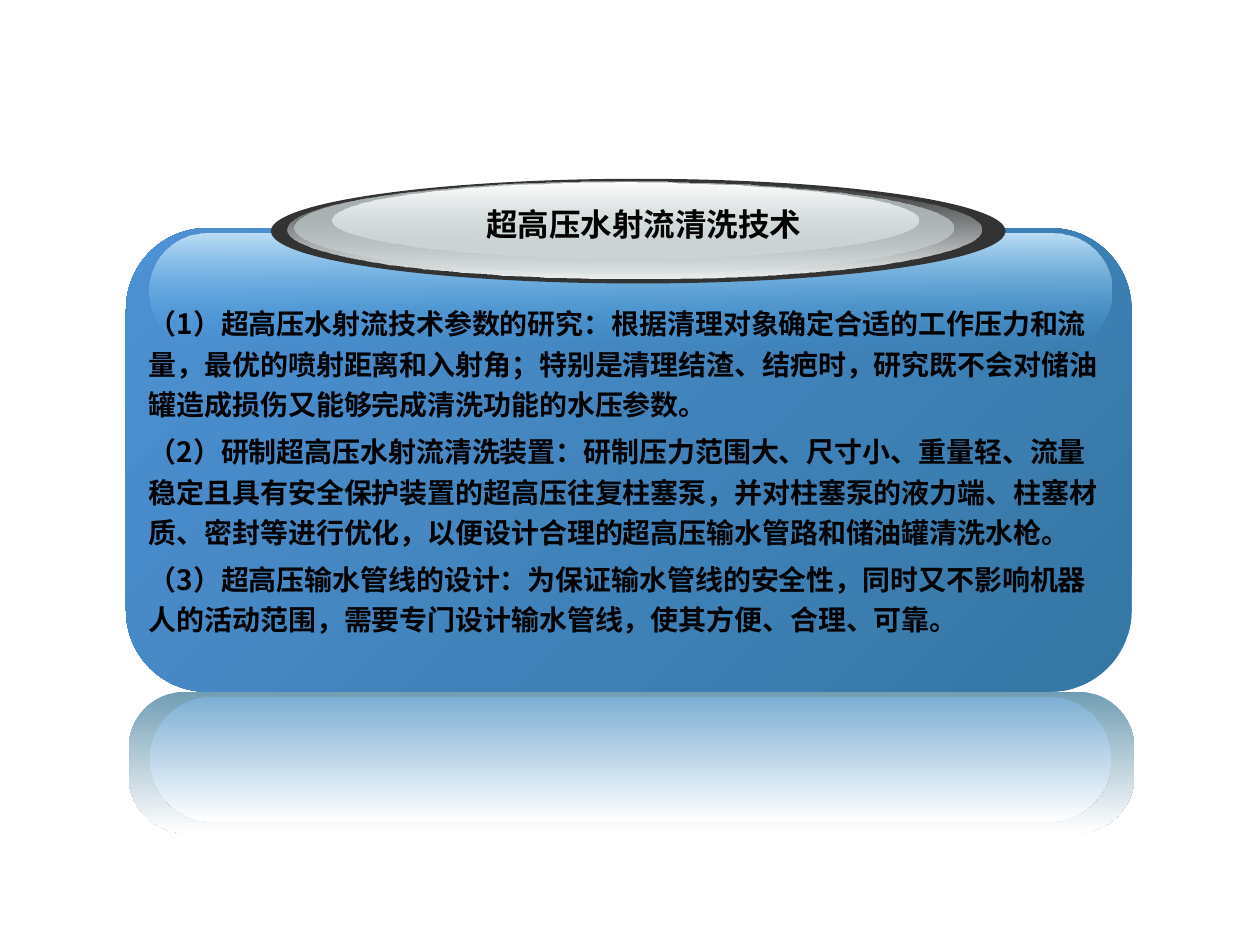
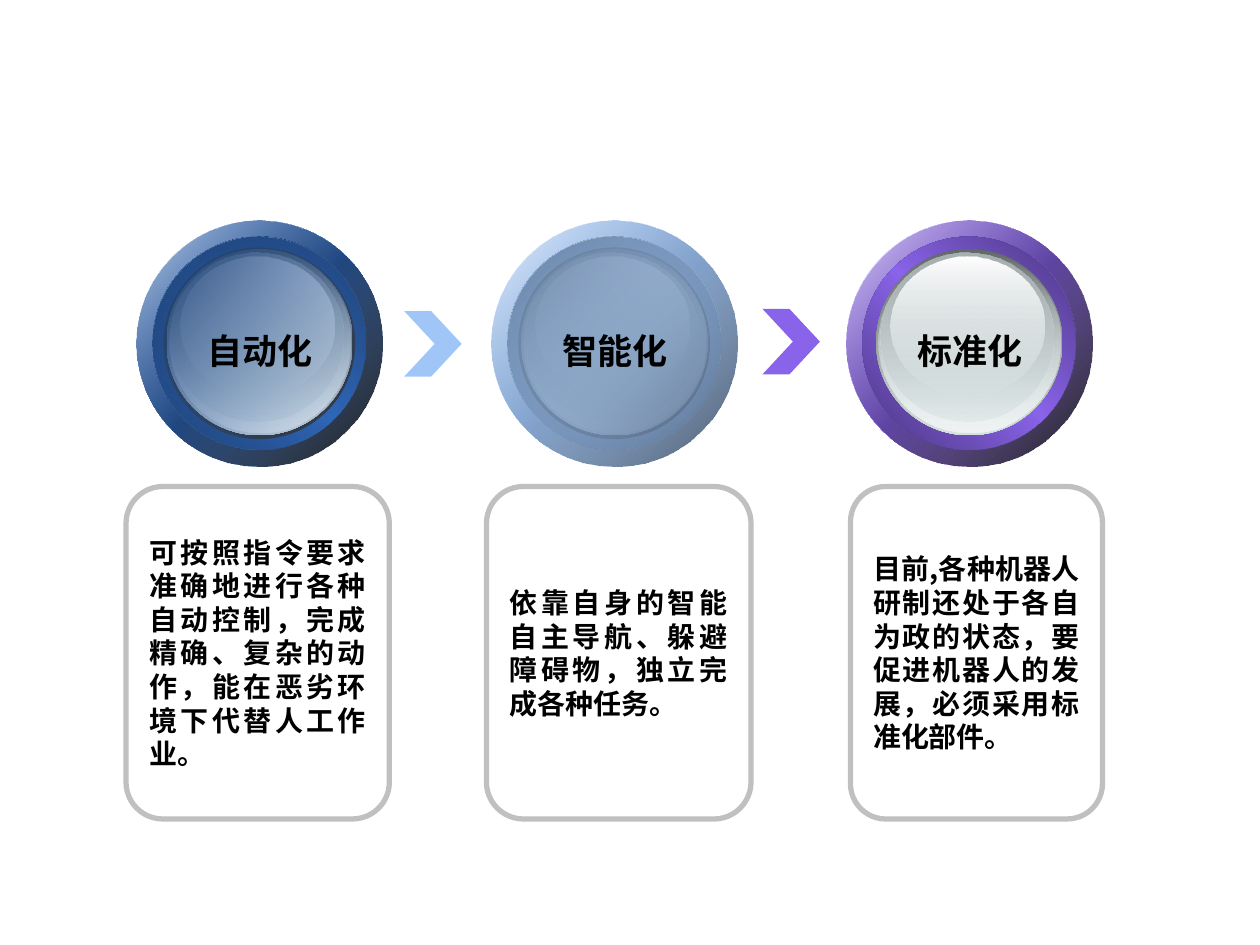
from dataclasses import dataclass
from typing import NamedTuple

from lxml.etree import SubElement
from pptx import Presentation
from pptx.dml.color import RGBColor
from pptx.enum.shapes import MSO_SHAPE
from pptx.enum.text import MSO_ANCHOR, MSO_AUTO_SIZE, PP_ALIGN
from pptx.oxml.ns import qn
from pptx.util import Pt


@dataclass(frozen=True)
class Theme:
    black: str = "000000"
    white: str = "FFFFFF"
    shine: str = "FEFEFE"
    dark: str = "333333"
    border: str = "C0C0C0"
    silver: str = "D6E1E2"
    pale_silver: str = "EFF3F3"
    mid_silver: str = "A8B1B2"
    deep_silver: str = "626768"
    panel_dark: str = "3477A4"
    panel_light: str = "4E91D4"
    panel_shine: str = "BDDEF5"
    panel_glow: str = "3CA1E6"
    reflection_outer: str = "729EB4"
    reflection_inner: str = "7DAFD4"
    navy: str = "3067B8"
    navy_rim: str = "193763"
    navy_overlay: str = "1E4174"
    sky: str = "A0C6F8"
    sky_rim: str = "566A85"
    sky_shade: str = "495B72"
    sky_overlay: str = "657D9C"
    violet: str = "8963E9"
    violet_rim: str = "49357D"
    violet_overlay: str = "563E93"
    heading_font: str = "Arial"
    chinese_font: str = "Noto Sans CJK SC"
    body_size: int = 16
    heading_size: int = 18
    badge_size: int = 20
    border_width: int = 3


THEME = Theme()


class Frame(NamedTuple):
    left: float
    top: float
    width: float
    height: float

    def shifted(self, left: float, top: float) -> "Frame":
        return Frame(self.left + left, self.top + top, self.width, self.height)


class Stop(NamedTuple):
    position: int
    color: str
    opacity: int = 100


@dataclass(frozen=True)
class Gradient:
    angle: int
    stops: tuple[Stop, ...]


def blend(angle: int, start: str, end: str, start_opacity: int = 100, end_opacity: int = 100) -> Gradient:
    return Gradient(angle, (Stop(0, start, start_opacity), Stop(100, end, end_opacity)))


def band(angle: int, edge: str, middle: str) -> Gradient:
    return Gradient(angle, (Stop(0, edge), Stop(50, middle), Stop(100, edge)))


@dataclass(frozen=True)
class Layer:
    frame: Frame
    fill: Gradient | str | None
    kind: MSO_SHAPE = MSO_SHAPE.OVAL
    adjustment: float | None = None
    line: str | None = None


@dataclass(frozen=True)
class TextStyle:
    size: int
    font: str
    align: PP_ALIGN = PP_ALIGN.LEFT
    anchor: MSO_ANCHOR = MSO_ANCHOR.TOP
    line_spacing: float = 1.0
    space_before: float = 0


@dataclass(frozen=True)
class Badge:
    label: str
    color: str
    rim: str
    shade: Stop
    overlay: str
    order: tuple[str, ...]


@dataclass(frozen=True)
class Card:
    left: float
    width: float
    text: str
    font: str


@dataclass(frozen=True)
class Arrow:
    left: float
    top: float
    color: str


SILVER_DOME = (
    blend(90, THEME.silver, THEME.pale_silver, 0),
    blend(90, THEME.mid_silver, THEME.silver, 100, 48),
    blend(90, THEME.shine, THEME.silver, 100, 38),
)
PILL_FRAMES = (
    Frame(164.2, 103, 396.7, 56.2),
    Frame(168.5, 103.7, 376.6, 52.6),
    Frame(190, 104.4, 334.8, 42.5),
)
PANEL_LAYERS = (
    Layer(Frame(72, 130.3, 574.6, 265), blend(225, THEME.panel_dark, THEME.panel_light),
          MSO_SHAPE.ROUNDED_RECTANGLE, 0.175),
    Layer(Frame(85.7, 133.2, 549.4, 65.5), blend(90, THEME.panel_shine, THEME.panel_glow, 100, 0),
          MSO_SHAPE.ROUNDED_RECTANGLE, 0.5),
    Layer(Frame(73.6, 395.3, 574.6, 80.6), blend(90, THEME.reflection_outer, THEME.white),
          MSO_SHAPE.ROUNDED_RECTANGLE, 0.4),
    Layer(Frame(85.7, 398.2, 549.4, 71.3), blend(90, THEME.reflection_inner, THEME.white),
          MSO_SHAPE.ROUNDED_RECTANGLE, 0.5),
    Layer(Frame(154.8, 102.2, 419.8, 59.8), THEME.dark),
    *(Layer(frame, fill) for frame, fill in zip(PILL_FRAMES, SILVER_DOME)),
)
PANEL_TITLE = "超高压水射流清洗技术"
PANEL_POINTS = (
    "（1）超高压水射流技术参数的研究：根据清理对象确定合适的工作压力和流量，最优的喷射距离和入射角；"
    "特别是清理结渣、结疤时，研究既不会对储油罐造成损伤又能够完成清洗功能的水压参数。",
    "（2）研制超高压水射流清洗装置：研制压力范围大、尺寸小、重量轻、流量稳定且具有安全保护装置的"
    "超高压往复柱塞泵，并对柱塞泵的液力端、柱塞材质、密封等进行优化，以便设计合理的超高压输水管路和储油罐清洗水枪。",
    "（3）超高压输水管线的设计：为保证输水管线的安全性，同时又不影响机器人的活动范围，"
    "需要专门设计输水管线，使其方便、合理、可靠。",
)

BADGE_LEFT, BADGE_TOP, BADGE_PITCH = 78.2, 126.2, 202.75
BADGE_FACE = Frame(0, 0, 140.4, 140.4)
BADGE_RING = Frame(9, 9, 121.8, 121.8)
BADGE_DISC = Frame(15.2, 15.2, 109.6, 109.6)
BADGE_LABEL = Frame(31.4, 58.8, 78.5, 31.7)
DOME_FRAMES = (
    Frame(17, 16.1, 106.4, 106.4),
    Frame(18.4, 17, 103.7, 103.7),
    Frame(19.5, 18.4, 98.6, 96.5),
    Frame(25.2, 20.5, 87.8, 78.5),
)
DOME_FILLS = (blend(90, THEME.deep_silver, THEME.silver), *SILVER_DOME)
BADGES = (
    Badge("自动化", THEME.navy, THEME.navy_rim, Stop(0, THEME.black, 90), THEME.navy_overlay,
          ("face", "shade", "ring", "disc", "dome", "overlay")),
    Badge("智能化", THEME.sky, THEME.sky_rim, Stop(0, THEME.sky_shade), THEME.sky_overlay,
          ("face", "ring", "disc", "dome", "shade", "overlay")),
    Badge("标准化", THEME.violet, THEME.violet_rim, Stop(0, THEME.black, 90), THEME.violet_overlay,
          ("face", "shade", "overlay", "disc", "ring", "dome")),
)
ARROWS = (Arrow(231, 177.8, THEME.sky), Arrow(435.7, 176.5, THEME.violet))
CARD_TOP, CARD_HEIGHT = 278, 190
CARDS = (
    Card(72, 150.5, "可按照指令要求准确地进行各种自动控制，完成精确、复杂的动作，能在恶劣环境下代替人工作业。",
         THEME.heading_font),
    Card(278, 151.2, "依靠自身的智能自主导航、躲避障碍物，独立完成各种任务。", THEME.heading_font),
    Card(486, 144, "目前,各种机器人研制还处于各自为政的状态，要促进机器人的发展，必须采用标准化部件。",
         THEME.chinese_font),
)


def place(shape, frame: Frame) -> None:
    shape.left, shape.top, shape.width, shape.height = (Pt(length) for length in frame)


def apply_gradient(shape, gradient: Gradient) -> None:
    fill = SubElement(shape._element.spPr, qn("a:gradFill"), rotWithShape="1")
    stop_list = SubElement(fill, qn("a:gsLst"))
    for stop in gradient.stops:
        entry = SubElement(stop_list, qn("a:gs"), pos=str(stop.position * 1000))
        color = SubElement(entry, qn("a:srgbClr"), val=stop.color)
        if stop.opacity < 100:
            SubElement(color, qn("a:alpha"), val=str(stop.opacity * 1000))
    SubElement(fill, qn("a:lin"), ang=str(gradient.angle * 60000), scaled="0")


def draw_layer(page, layer: Layer):
    shape = page.shapes.add_shape(layer.kind, *(Pt(length) for length in layer.frame))
    if layer.adjustment is not None:
        shape.adjustments[0] = layer.adjustment
    if isinstance(layer.fill, Gradient):
        apply_gradient(shape, layer.fill)
    elif layer.fill:
        shape.fill.solid()
        shape.fill.fore_color.rgb = RGBColor.from_string(layer.fill)
    else:
        shape.fill.background()
    if layer.line:
        shape.line.color.rgb = RGBColor.from_string(layer.line)
        shape.line.width = Pt(THEME.border_width)
    else:
        shape.line.fill.background()
    shape.shadow.inherit = False
    return shape


def write_text(shape, texts: tuple[str, ...], style: TextStyle) -> None:
    frame = shape.text_frame
    frame.auto_size = MSO_AUTO_SIZE.NONE
    frame.word_wrap = True
    frame.vertical_anchor = style.anchor
    frame.margin_left = frame.margin_right = Pt(7.2)
    frame.margin_top = frame.margin_bottom = Pt(3.6)
    for index, text in enumerate(texts):
        para = frame.paragraphs[0] if index == 0 else frame.add_paragraph()
        para.text = text
        para.alignment = style.align
        para.line_spacing = style.line_spacing
        para.space_before = Pt(style.space_before)
        para.font.size = Pt(style.size)
        para.font.bold = True
        para.font.name = style.font
        para.font.color.rgb = RGBColor.from_string(THEME.black)
        defaults = para._p.pPr.find(qn("a:defRPr"))
        SubElement(defaults, qn("a:ea"), typeface=THEME.chinese_font)


def remove_bullets(shape) -> None:
    for para in shape.text_frame.paragraphs:
        properties = para._p.pPr
        properties.set("marL", "0")
        properties.set("indent", "0")
        defaults = properties.find(qn("a:defRPr"))
        defaults.addprevious(properties.makeelement(qn("a:buNone")))


def build_panel_page(deck) -> None:
    page = deck.slides.add_slide(deck.slide_layouts[1])
    title, body = page.shapes.title, page.placeholders[1]
    for layer in PANEL_LAYERS:
        draw_layer(page, layer)
    place(body, Frame(77.8, 168, 563.8, 199.4))
    write_text(body, PANEL_POINTS, TextStyle(THEME.body_size, THEME.chinese_font, line_spacing=1.2, space_before=4))
    remove_bullets(body)
    place(title, Frame(270.7, 113.8, 220, 28.8))
    write_text(title, (PANEL_TITLE,),
               TextStyle(THEME.heading_size, THEME.heading_font, anchor=MSO_ANCHOR.MIDDLE))
    for placeholder in (body, title):
        page.shapes._spTree.append(placeholder._element)


def draw_badge(page, badge: Badge, left: float) -> None:
    parts = {
        "face": (Layer(BADGE_FACE, band(225, THEME.shine, badge.color)),),
        "shade": (Layer(BADGE_FACE, Gradient(225, (badge.shade, Stop(100, badge.color, 32)))),),
        "ring": (Layer(BADGE_RING, band(135, badge.rim, badge.color)),),
        "overlay": (Layer(BADGE_RING, blend(225, badge.color, badge.overlay, 0)),),
        "disc": (Layer(BADGE_DISC, THEME.dark),),
        "dome": tuple(Layer(frame, fill) for frame, fill in zip(DOME_FRAMES, DOME_FILLS)),
    }
    for name in badge.order:
        for layer in parts[name]:
            draw_layer(page, Layer(layer.frame.shifted(left, BADGE_TOP), layer.fill))
    label = BADGE_LABEL.shifted(left, BADGE_TOP)
    box = page.shapes.add_textbox(*(Pt(length) for length in label))
    write_text(box, (badge.label,), TextStyle(THEME.badge_size, THEME.heading_font, PP_ALIGN.CENTER))


def build_trend_page(deck) -> None:
    page = deck.slides.add_slide(deck.slide_layouts[6])
    for index, badge in enumerate(BADGES):
        draw_badge(page, badge, BADGE_LEFT + index * BADGE_PITCH)
    for arrow in ARROWS:
        draw_layer(page, Layer(Frame(arrow.left, arrow.top, 32.8, 37.4), arrow.color, MSO_SHAPE.CHEVRON, 0.53))
    for card in CARDS:
        frame = Frame(card.left, CARD_TOP, card.width, CARD_HEIGHT)
        box = draw_layer(page, Layer(frame, None, MSO_SHAPE.ROUNDED_RECTANGLE, 0.14, THEME.border))
        write_text(box, (card.text,),
                   TextStyle(THEME.body_size, card.font, PP_ALIGN.JUSTIFY, MSO_ANCHOR.MIDDLE))


def main() -> None:
    deck = Presentation()
    deck.slide_width, deck.slide_height = Pt(720), Pt(540)
    build_panel_page(deck)
    build_trend_page(deck)
    deck.save("out.pptx")


if __name__ == "__main__":
    main()
